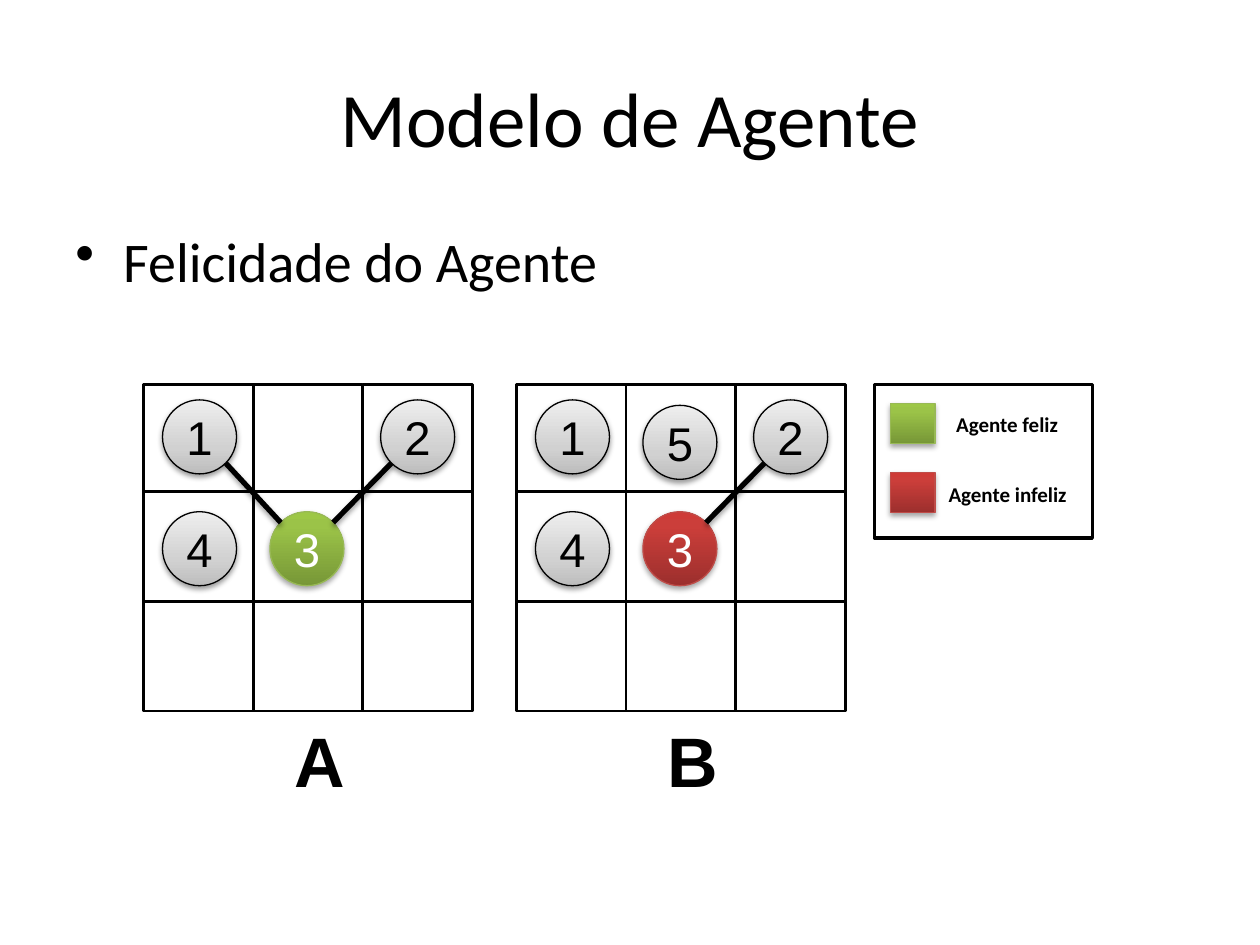
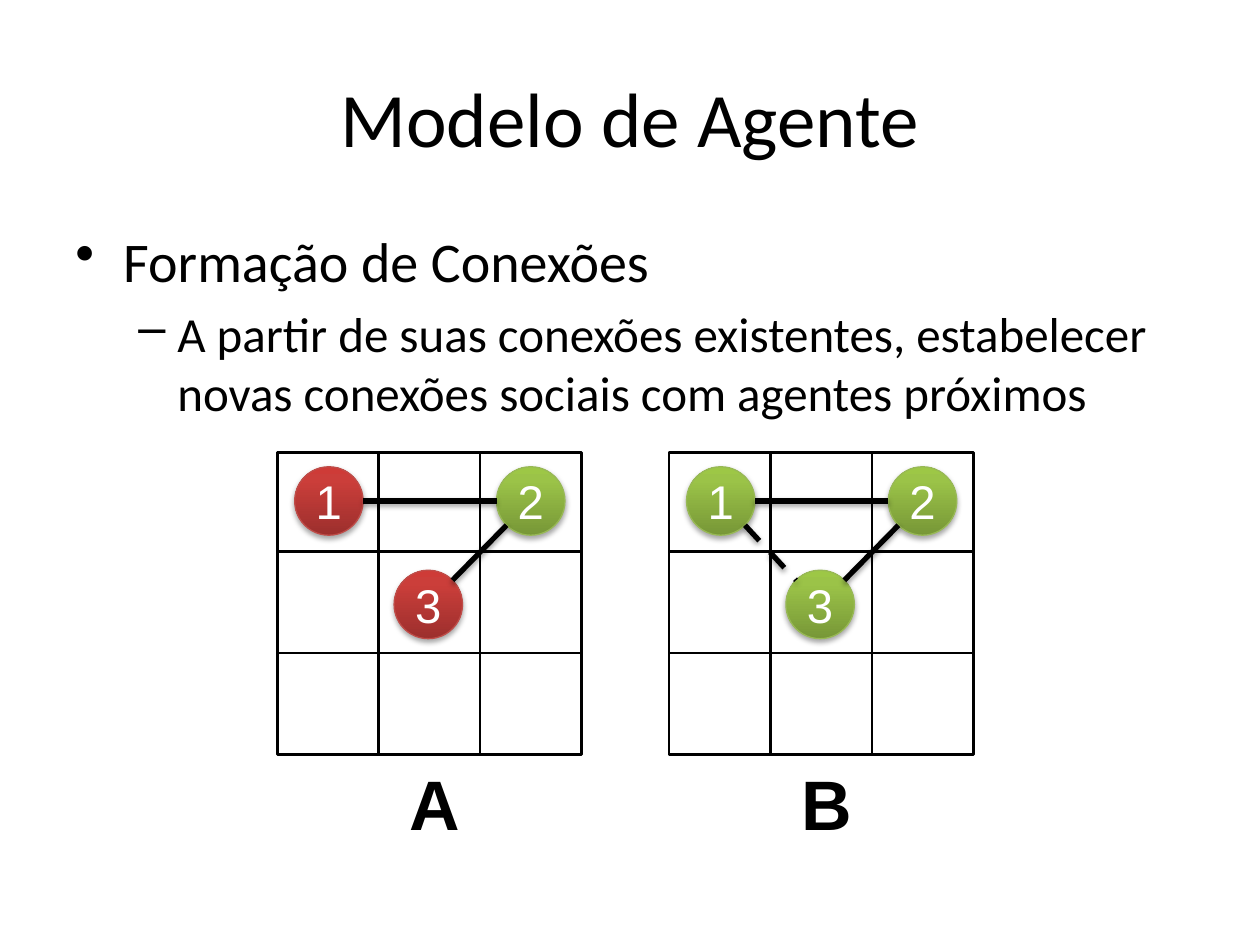
from math import atan2, cos, pi, sin

from lxml.etree import SubElement
from pptx import Presentation
from pptx.dml.color import RGBColor
from pptx.enum.dml import MSO_LINE
from pptx.enum.shapes import MSO_CONNECTOR, MSO_SHAPE
from pptx.enum.text import MSO_ANCHOR, PP_ALIGN
from pptx.oxml.ns import qn
from pptx.util import Inches, Pt

BLACK = RGBColor(0x00, 0x00, 0x00)
WHITE = RGBColor(0xFF, 0xFF, 0xFF)
GREEN_EDGE = RGBColor(0x98, 0xB9, 0x55)
RED_EDGE = RGBColor(0xBF, 0x4C, 0x48)

# Gradient stops run from the bottom of the shape to the top.
MOODS = {
    "happy": dict(
        stops=[(0, RGBColor(0x77, 0x97, 0x37)), (80, RGBColor(0x9B, 0xC3, 0x48)),
               (100, RGBColor(0x9D, 0xC7, 0x46))],
        edge=GREEN_EDGE, ink=WHITE, shadow=(35, 1.8)),
    "unhappy": dict(
        stops=[(0, RGBColor(0x9C, 0x2F, 0x2D)), (80, RGBColor(0xCB, 0x3E, 0x3A)),
               (100, RGBColor(0xCE, 0x3B, 0x37))],
        edge=RED_EDGE, ink=WHITE, shadow=(35, 1.8)),
    "neutral": dict(
        stops=[(0, RGBColor(0xBD, 0xBD, 0xBD)), (35, RGBColor(0xD1, 0xD1, 0xD1)),
               (100, RGBColor(0xEE, 0xEE, 0xEE))],
        edge=BLACK, ink=BLACK, shadow=(38, 1.6)),
}
LINK_SHADOW = (38, 1.6)

TITLE = "Modelo de Agente"
# Level: bullet, font size, left margin, hanging indent
BULLETS = [("•", 32, 0.38, 0.38), ("–", 28, 0.81, 0.31)]

# Measures in cells, from the top left corner of a board
ROW_TOPS = (0, 0.98, 1.98)
BOARD_BOTTOM = 2.98
AGENT_SIZE = 0.675
SEATS = {1: (0.51, 0.48), 2: (2.5, 0.48), 3: (1.49, 1.5),
         4: (0.51, 1.5), 5: (1.49, 0.53)}

SLIDES = [
    dict(
        points=[(0, "Felicidade do Agente")],
        cell=0.87, top=3.05, label_indent=1.1,
        boards=[
            dict(label="A", left=1.14, links=[(2, 3), (1, 3)], hoped=[],
                 agents={3: "happy", 2: "neutral", 1: "neutral", 4: "neutral"}),
            dict(label="B", left=4.1, links=[(2, 3)], hoped=[],
                 agents={3: "unhappy", 2: "neutral", 1: "neutral",
                         4: "neutral", 5: "neutral"}),
        ],
        legend=[("happy", "Agente feliz", 7.49), ("unhappy", "Agente infeliz", 7.43)],
    ),
    dict(
        points=[(0, "Formação de Conexões"),
                (1, "A partir de suas conexões existentes, estabelecer "
                    "novas conexões sociais com agentes próximos")],
        cell=0.805, top=3.59, label_indent=0.95,
        boards=[
            dict(label="A", left=2.2, links=[(1, 2), (2, 3)], hoped=[],
                 agents={3: "unhappy", 2: "happy", 1: "unhappy"}),
            dict(label="B", left=5.31, links=[(1, 2), (2, 3)], hoped=[(1, 3)],
                 agents={3: "happy", 2: "happy", 1: "happy"}),
        ],
        legend=[],
    ),
]


def style_font(paragraph, size, face, color=BLACK, bold=False):
    font = paragraph.font
    font.size, font.name, font.bold = Pt(size), face, bold
    font.color.rgb = color


def add_text(slide, box, text, size, face, bold=False, wrap=True):
    frame = slide.shapes.add_textbox(*map(Inches, box)).text_frame
    frame.word_wrap = wrap
    paragraph = frame.paragraphs[0]
    paragraph.text = text
    style_font(paragraph, size, face, bold=bold)
    return frame


def add_shadow(shape, opacity, distance):
    """Drop a soft black shadow straight down; call after the line is set."""
    effects = SubElement(shape._element.spPr, qn("a:effectLst"))
    outer = SubElement(effects, qn("a:outerShdw"), blurRad=str(Pt(3.1)),
                       dist=str(Pt(distance)), dir="5400000", rotWithShape="0")
    color = SubElement(outer, qn("a:srgbClr"), val=str(BLACK))
    SubElement(color, qn("a:alpha"), val=str(opacity * 1000))


def add_plain_box(slide, box, weight):
    shape = slide.shapes.add_shape(MSO_SHAPE.RECTANGLE, *map(Inches, box))
    shape.shadow.inherit = False
    shape.fill.solid()
    shape.fill.fore_color.rgb = WHITE
    shape.line.color.rgb = BLACK
    shape.line.width = Pt(weight)


def add_mood_shape(slide, preset, box, mood):
    look = MOODS[mood]
    shape = slide.shapes.add_shape(preset, *map(Inches, box))
    shape.fill.gradient()
    shape.fill.gradient_angle = 90
    stops = shape._element.spPr.find(qn("a:gradFill")).find(qn("a:gsLst"))
    for stop in list(stops):
        stops.remove(stop)
    for position, color in look["stops"]:
        stop = SubElement(stops, qn("a:gs"), pos=str(position * 1000))
        SubElement(stop, qn("a:srgbClr"), val=str(color))
    shape.line.color.rgb = look["edge"]
    shape.line.width = Pt(0.75)
    add_shadow(shape, *look["shadow"])
    return shape


def add_agent(slide, center, diameter, number, mood):
    x, y = center
    box = (x - diameter / 2, y - diameter / 2, diameter, diameter)
    frame = add_mood_shape(slide, MSO_SHAPE.OVAL, box, mood).text_frame
    frame.margin_left = frame.margin_right = 0
    frame.margin_top = frame.margin_bottom = 0
    frame.vertical_anchor = MSO_ANCHOR.MIDDLE
    paragraph = frame.paragraphs[0]
    paragraph.text = str(number)
    paragraph.alignment = PP_ALIGN.CENTER
    style_font(paragraph, 27, "Arial", MOODS[mood]["ink"])


def add_link(slide, start, end, diameter, dashed):
    """Join two agents rim to rim, at the nearest eighth of the circle."""
    (x1, y1), (x2, y2) = start, end
    angle = round(atan2(y2 - y1, x2 - x1) / (pi / 4)) * pi / 4
    dx, dy = diameter / 2 * cos(angle), diameter / 2 * sin(angle)
    ends = (x1 + dx, y1 + dy, x2 - dx, y2 - dy)
    link = slide.shapes.add_connector(MSO_CONNECTOR.STRAIGHT, *map(Inches, ends))
    link.line.color.rgb = BLACK
    link.line.width = Pt(3)
    if dashed:
        link.line.dash_style = MSO_LINE.DASH
    add_shadow(link, *LINK_SHADOW)


def add_board(slide, board, cell, top, label_indent):
    left, diameter = board["left"], AGENT_SIZE * cell
    for row_top in ROW_TOPS:
        for column in range(3):
            add_plain_box(slide, (left + column * cell, top + row_top * cell,
                                  cell, cell), 1.5)
    centers = {number: (left + x * cell, top + y * cell)
               for number, (x, y) in SEATS.items()}
    for number, mood in board["agents"].items():
        add_agent(slide, centers[number], diameter, number, mood)
    for first, second in board["links"] + board["hoped"]:
        add_link(slide, centers[first], centers[second], diameter,
                 (first, second) in board["hoped"])
    add_text(slide, (left + label_indent, top + BOARD_BOTTOM * cell, 0.61, 0.77),
             board["label"], 40, "Arial", bold=True, wrap=False)


def add_legend(slide, entries, top):
    add_plain_box(slide, (6.94, top, 1.73, 1.22), 2)
    for row, (mood, caption, caption_left) in enumerate(entries):
        y = top + 0.15 + row * 0.55
        add_mood_shape(slide, MSO_SHAPE.RECTANGLE, (7.07, y, 0.35, 0.32), mood)
        add_text(slide, (caption_left, y + 0.02, 1.4, 0.3), caption, 12,
                 "Calibri", bold=True)


def add_heading(slide):
    frame = add_text(slide, (0.5, 0.3, 9, 1.25), TITLE, 44, "Calibri")
    frame.vertical_anchor = MSO_ANCHOR.MIDDLE
    frame.paragraphs[0].alignment = PP_ALIGN.CENTER


def add_points(slide, points):
    frame = slide.shapes.add_textbox(
        *map(Inches, (0.5, 1.75, 9, 4.95))).text_frame
    frame.word_wrap = True
    for index, (level, text) in enumerate(points):
        paragraph = frame.add_paragraph() if index else frame.paragraphs[0]
        bullet, size, margin, hanging = BULLETS[level]
        paragraph.text = text
        paragraph.level = level
        paragraph.space_before = Pt(0.2 * size)
        style_font(paragraph, size, "Calibri")
        properties = paragraph._p.get_or_add_pPr()
        properties.set("marL", str(Inches(margin)))
        properties.set("indent", str(-Inches(hanging)))
        mark = SubElement(properties, qn("a:buChar"), char=bullet)
        properties.find(qn("a:defRPr")).addprevious(mark)


def main():
    deck = Presentation()
    deck.slide_width, deck.slide_height = Inches(10), Inches(7.5)
    for content in SLIDES:
        slide = deck.slides.add_slide(deck.slide_layouts[6])
        add_heading(slide)
        add_points(slide, content["points"])
        for board in content["boards"]:
            add_board(slide, board, content["cell"], content["top"],
                      content["label_indent"])
        if content["legend"]:
            add_legend(slide, content["legend"], content["top"])
    deck.save("out.pptx")


if __name__ == "__main__":
    main()
